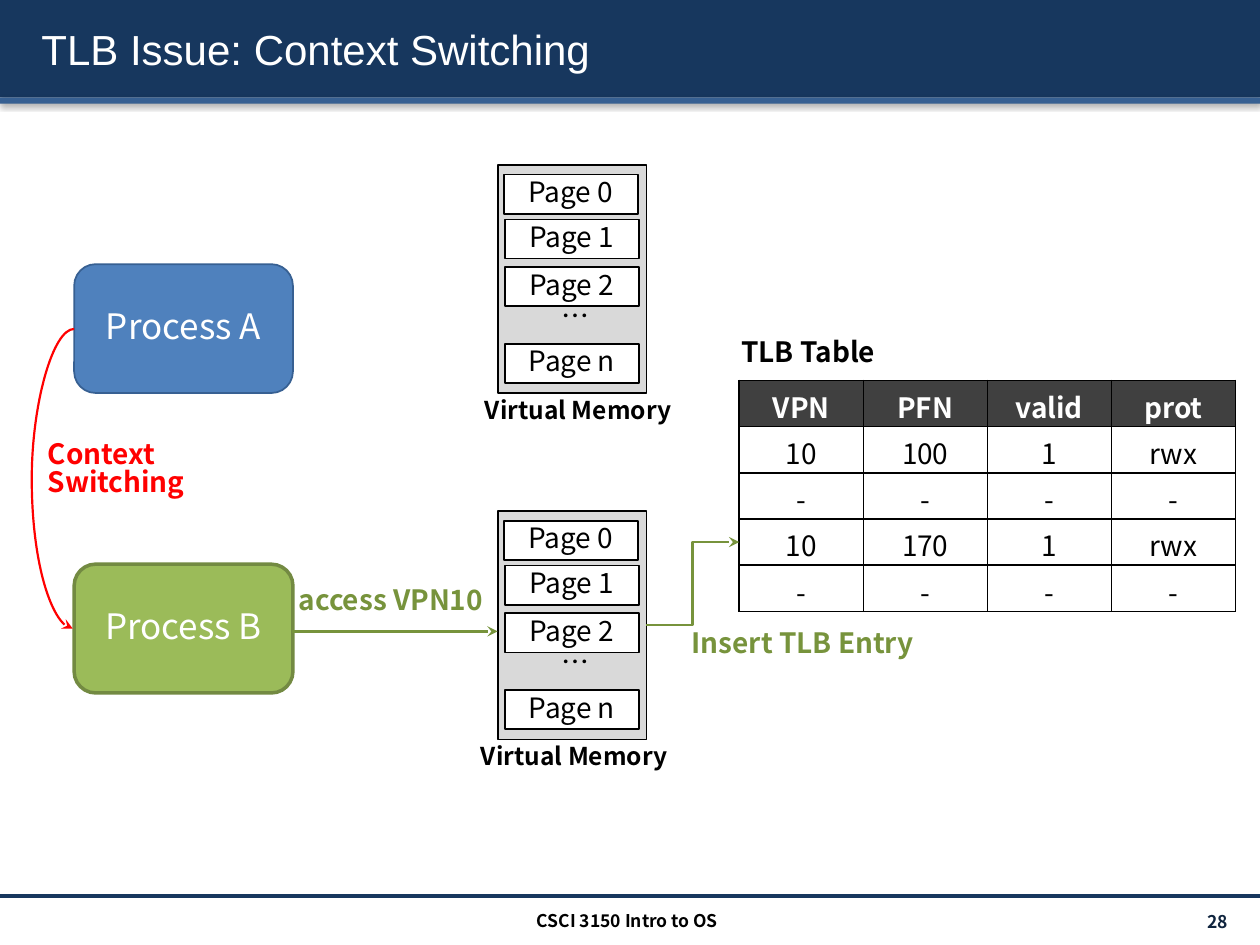
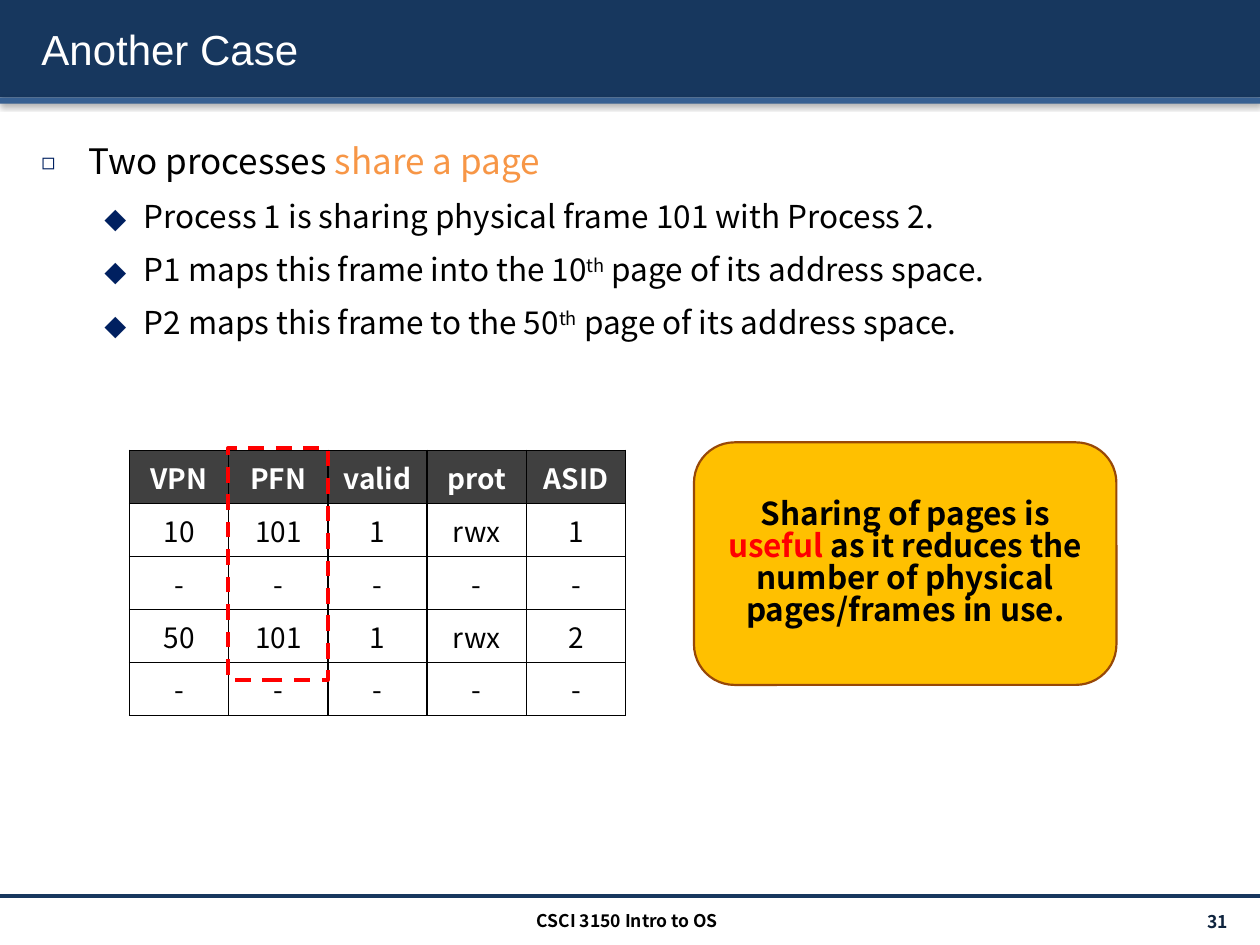
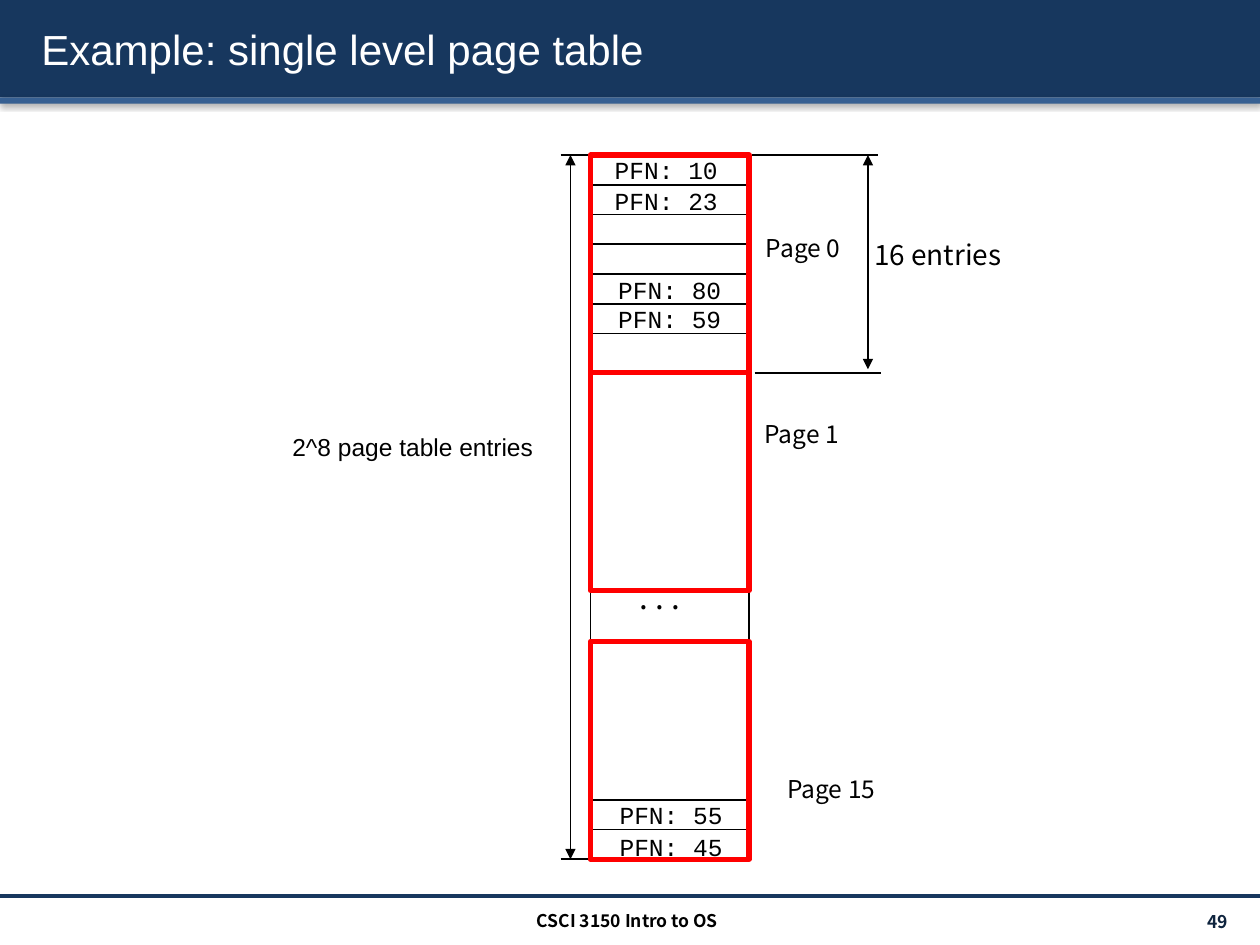
from lxml import etree
from pptx import Presentation
from pptx.dml.color import RGBColor
from pptx.enum.dml import MSO_LINE_DASH_STYLE as Dash
from pptx.enum.shapes import MSO_CONNECTOR as Link, MSO_SHAPE as Shape
from pptx.enum.text import MSO_ANCHOR as Anchor, PP_ALIGN as Align
from pptx.oxml.ns import qn
from pptx.util import Pt

SANS, TITLE_FONT, MONO = "Noto Sans CJK KR", "Arial", "Courier New"
BLACK, WHITE, RED = "000000", "FFFFFF", "FF0000"
NAVY, STRIPE, PAGE_NUMBER, BULLET = "17375E", "376092", "0F243E", "002060"
BLUE, GREEN, GREEN_EDGE, GREEN_INK = "4F81BD", "9BBB59", "738A42", "77933C"
GRAY, HEADER, ORANGE, AMBER, BROWN = "D9D9D9", "404040", "F79646", "FFC000", "984807"
TIGHT = 0.85  # line spacing that offsets the tall line box of SANS


def rgb(hex_color):
    return RGBColor.from_string(hex_color)


def child(parent, tag, **attributes):
    return etree.SubElement(parent, qn(tag), {k: str(v) for k, v in attributes.items()})


def add_shadow(effects, blur, distance, alpha):
    shadow = child(effects, "a:outerShdw", blurRad=Pt(blur), dist=Pt(distance),
                   dir=5400000, algn="tl", rotWithShape=0)
    color = child(shadow, "a:srgbClr", val=BLACK)
    child(color, "a:alpha", val=alpha * 1000)


def add_bullet(paragraph, symbol, indent, hanging, percent):
    props = paragraph._p.get_or_add_pPr()
    props.set("marL", str(Pt(indent)))
    props.set("indent", str(-Pt(hanging)))
    child(child(props, "a:buClr"), "a:srgbClr", val=BULLET)
    child(props, "a:buSzPct", val=percent * 1000)
    child(props, "a:buFont", typeface=SANS)
    child(props, "a:buChar", char=symbol)


def add_border(cell):
    props = cell._tc.get_or_add_tcPr()
    for position, side in enumerate(("a:lnL", "a:lnR", "a:lnT", "a:lnB")):
        edge = etree.Element(qn(side), w=str(Pt(1)))
        child(child(edge, "a:solidFill"), "a:srgbClr", val=BLACK)
        props.insert(position, edge)


class Deck:
    """Holds the shared style and the slide being drawn."""

    def __init__(self):
        self.prs = Presentation()
        self.prs.slide_width, self.prs.slide_height = Pt(720), Pt(540)
        self.shapes = None

    def new_slide(self, title, number):
        self.shapes = self.prs.slides.add_slide(self.prs.slide_layouts[6]).shapes
        for top, height, color in ((0, 55.6, NAVY), (55.6, 3.6, STRIPE)):
            band = self.box(0, top, 720, height, fill=color)
            add_shadow(band._element.spPr.find(qn("a:effectLst")), 3.1, 1.6, 38)
        self.line((0, 512), (720, 512), NAVY, 2)
        heading = self.text(title, 16.6, 5, 692, 46, 24, WHITE, font=TITLE_FONT,
                            anchor=Anchor.MIDDLE)
        props = heading.paragraphs[0].runs[0]._r.get_or_add_rPr()
        effects = etree.Element(qn("a:effectLst"))
        add_shadow(effects, 3, 3, 43)
        props.find(qn("a:solidFill")).addnext(effects)
        self.text(number + " ", 627, 519, 84, 17.4, 10, PAGE_NUMBER, bold=True,
                  align=Align.RIGHT, anchor=Anchor.MIDDLE)
        self.text("CSCI 3150 Intro to OS", 239, 518.4, 239, 17.4, 10, bold=True,
                  align=Align.CENTER)

    def style(self, run, size, color=BLACK, bold=False, font=SANS):
        run.font.size, run.font.bold, run.font.name = Pt(size), bold, font
        run.font.color.rgb = rgb(color)

    def fill_frame(self, frame, text, size, color=BLACK, bold=False, font=SANS,
                   align=Align.LEFT, anchor=Anchor.TOP):
        frame.text = text
        frame.word_wrap = True
        frame.vertical_anchor = anchor
        for paragraph in frame.paragraphs:
            paragraph.alignment = align
            if font == SANS:
                paragraph.line_spacing = TIGHT
            for run in paragraph.runs:
                self.style(run, size, color, bold, font)

    def text(self, text, left, top, width, height, size, color=BLACK, **look):
        frame = self.shapes.add_textbox(Pt(left), Pt(top), Pt(width), Pt(height)).text_frame
        self.fill_frame(frame, text, size, color, **look)
        return frame

    def box(self, left, top, width, height, fill=None, edge=None, weight=1,
            kind=Shape.RECTANGLE):
        box = self.shapes.add_shape(kind, Pt(left), Pt(top), Pt(width), Pt(height))
        box.shadow.inherit = False
        if fill:
            box.fill.solid()
            box.fill.fore_color.rgb = rgb(fill)
        else:
            box.fill.background()
        if edge:
            box.line.color.rgb = rgb(edge)
            box.line.width = Pt(weight)
        else:
            box.line.fill.background()
        return box

    def label(self, box, text, size, color=BLACK, bold=False, side_margin=7.2):
        frame = box.text_frame
        frame.margin_left = frame.margin_right = Pt(side_margin)
        self.fill_frame(frame, text, size, color, bold, align=Align.CENTER,
                        anchor=Anchor.MIDDLE)
        return frame

    def line(self, start, end, color=BLACK, weight=1, kind=Link.STRAIGHT,
             head=None, tail=None, bend=None):
        """Bend is the place of the middle segment, as a multiple of the width."""
        link = self.shapes.add_connector(kind, *(Pt(v) for v in (*start, *end)))
        link.line.color.rgb = rgb(color)
        link.line.width = Pt(weight)
        props = link._element.spPr
        for tag, arrow in (("a:headEnd", head), ("a:tailEnd", tail)):
            if arrow:
                child(props.find(qn("a:ln")), tag, type=arrow)
        child(props, "a:effectLst")
        if bend:
            guides = props.find(qn("a:prstGeom")).get_or_add_avLst()
            child(guides, "a:gd", name="adj1", fmla=f"val {round(bend * 100000)}")

    def table(self, rows, left, top, width, row_height, margins):
        frame = self.shapes.add_table(len(rows), len(rows[0]), Pt(left), Pt(top),
                                      Pt(width), Pt(row_height * len(rows)))
        table = frame.table
        table.first_row = table.horz_banding = False
        for r, row in enumerate(rows):
            for c, value in enumerate(row):
                cell = table.cell(r, c)
                cell.margin_top, cell.margin_bottom = (Pt(m) for m in margins)
                cell.text = value
                paragraph = cell.text_frame.paragraphs[0]
                paragraph.alignment = Align.CENTER
                self.style(paragraph.runs[0], 16, BLACK if r else WHITE, bold=not r)
                if r:
                    cell.fill.background()
                else:
                    cell.fill.solid()
                    cell.fill.fore_color.rgb = rgb(HEADER)
                add_border(cell)

    def outline(self, items, left, top, width, height):
        """Each item is a level and its runs, as (text, colour, superscript)."""
        frame = self.shapes.add_textbox(Pt(left), Pt(top), Pt(width), Pt(height)).text_frame
        frame.word_wrap = True
        for i, (level, runs) in enumerate(items):
            paragraph = frame.add_paragraph() if i else frame.paragraphs[0]
            paragraph.level = level
            paragraph.line_spacing = 1.24
            if i:
                paragraph.space_before = Pt(3.6)
            size = 18 if level else 20
            if level:
                add_bullet(paragraph, "⬥", 58.5, 22.5, 100)
            else:
                add_bullet(paragraph, "◻", 27, 27, 65)
            for words, color, raised in runs:
                run = paragraph.add_run()
                run.text = words
                self.style(run, size, color)
                if raised:
                    run._r.get_or_add_rPr().set("baseline", "30000")

    def virtual_memory(self, top, caption_left):
        self.box(284.4, top, 85, 130.4, GRAY, BLACK)
        for name, left, offset in (("Page 0", 288, 5.4), ("Page 1", 288.6, 31),
                                   ("Page 2", 288.6, 58.3), ("Page n", 288.6, 102)):
            page = self.box(left, top + offset, 76.4, 22.4, WHITE, BLACK)
            self.label(page, name, 16, side_margin=0)
        self.text("…", 314, top + 75.4, 83.5, 26.6, 16)
        self.text("Virtual Memory", caption_left, top + 130.4, 138, 24.5, 14, bold=True,
                  align=Align.CENTER)


def context_switching(deck):
    deck.new_slide("TLB Issue: Context Switching", "28")
    for name, top, fill, edge, weight in (("Process A", 151, BLUE, STRIPE, 1),
                                          ("Process B", 322.4, GREEN, GREEN_EDGE, 2)):
        process = deck.box(42.4, top, 125, 73.6, fill, edge, weight, Shape.ROUNDED_RECTANGLE)
        deck.label(process, name, 20, WHITE)
    deck.text("TLB Table", 416.6, 190.8, 111, 26.6, 16, bold=True)
    deck.virtual_memory(94.4, 261.4)
    deck.virtual_memory(292.2, 259.2)
    empty = ["-"] * 4
    deck.table([["VPN", "PFN", "valid", "prot"], ["10", "100", "1", "rwx"], empty,
                ["10", "170", "1", "rwx"], empty], 422.4, 217.4, 283.6, 26.4, (3.2, 0))
    deck.line((167, 360.8), (284.4, 360.8), GREEN_INK, 1.5, tail="stealth")
    deck.line((369.4, 357.2), (422.4, 309.8), GREEN_INK, 1.5, Link.ELBOW, tail="stealth")
    deck.line((42.4, 188), (41.6, 359.2), RED, 1.25, Link.CURVE, tail="stealth", bend=30.5)
    deck.text("Context\nSwitching", 20.2, 248.6, 106.6, 46, 16, RED, bold=True)
    deck.text("access VPN10", 144.6, 332.4, 157.6, 26.6, 16, GREEN_INK, bold=True,
              align=Align.CENTER)
    deck.text("Insert TLB Entry", 388.2, 356.6, 157.6, 26.6, 16, GREEN_INK, bold=True)


def shared_page(deck):
    deck.new_slide("Another Case", "31")
    mappings = [("P1 maps this frame into the 10", "th"), ("P2 maps this frame to the 50", "th")]
    deck.outline(
        [(0, [("Two processes ", BLACK, False), ("share a page", ORANGE, False)]),
         (1, [("Process 1 is sharing physical frame 101 with Process 2.", BLACK, False)])]
        + [(1, [(start, BLACK, False), (suffix, BLACK, True),
                (" page of its address space.", BLACK, False)]) for start, suffix in mappings],
        16.6, 70.6, 692, 433)
    empty = ["-"] * 5
    deck.table([["VPN", "PFN", "valid", "prot", "ASID"], ["10", "101", "1", "rwx", "1"], empty,
                ["50", "101", "1", "rwx", "2"], empty], 74, 257.4, 283.6, 30.3, (3.6, 3.6))
    shared_frames = deck.box(130.4, 256, 57, 132.4, None, RED, 2.25)
    shared_frames.line.dash_style = Dash.DASH
    benefit = deck.box(396.6, 252.8, 241.4, 138.6, AMBER, BROWN, 1.25, Shape.ROUNDED_RECTANGLE)
    frame = deck.label(benefit, "Sharing of pages is ", 18, bold=True, side_margin=8.6)
    for words, color in (("useful", RED), (
            " as it reduces the number of physical pages/frames in use.", BLACK)):
        run = frame.paragraphs[0].add_run()
        run.text = words
        deck.style(run, 18, color, bold=True)


def single_level_table(deck):
    deck.new_slide("Example: single level page table", "49")
    left, width, top, bottom = 337.4, 90.6, 88.6, 491
    right, entry, page_height = left + width, 17, 124.4
    deck.box(left, top, width, bottom - top, WHITE, BLACK)
    for pair_top in (*(top + 2 * entry * i for i in range(3)), bottom - 2 * entry):
        deck.box(left, pair_top, width, 2 * entry, WHITE, BLACK)
        deck.line((left, pair_top + entry), (right, pair_top + entry))
    deck.line((326, top), (326, bottom), head="triangle", tail="triangle")
    for y in (top, bottom):
        deck.line((320.4, y), (left, y))
    deck.text("2^8 page table entries", 160, 243.4, 164, 24.4, 14, font=TITLE_FONT)
    for number, x, y in ((10, 344.2, 85), (23, 344.2, 103), (80, 346.2, 153.4),
                         (59, 346.2, 170.2), (55, 347, 453.6), (45, 347, 471.6)):
        deck.text(f"PFN: {number}", x, y, 84.2, 24.4, 14, font=MONO)
    for page_top in (top, top + page_height, bottom - page_height):
        deck.box(left, page_top, width, page_height, None, RED, 3)
    for name, x, y in (("Page 0", 430.6, 132.4), ("Page 1", 429.8, 238.4),
                       ("Page 15", 442.8, 441.4)):
        deck.text(name, x, y, 118.8, 24.4, 14)
    deck.text(". . .", 358.6, 329.8, 51, 28.8, 18)
    for x, y in ((430, top), (431.2, top + page_height)):
        deck.line((x, y), (x + 72, y))
    deck.line((496, top), (496, 211), head="triangle", tail="triangle")
    deck.text("16 entries", 492.4, 135.4, 94.4, 26.6, 16)


def main():
    deck = Deck()
    for draw in (context_switching, shared_page, single_level_table):
        draw(deck)
    deck.prs.save("out.pptx")


if __name__ == "__main__":
    main()
